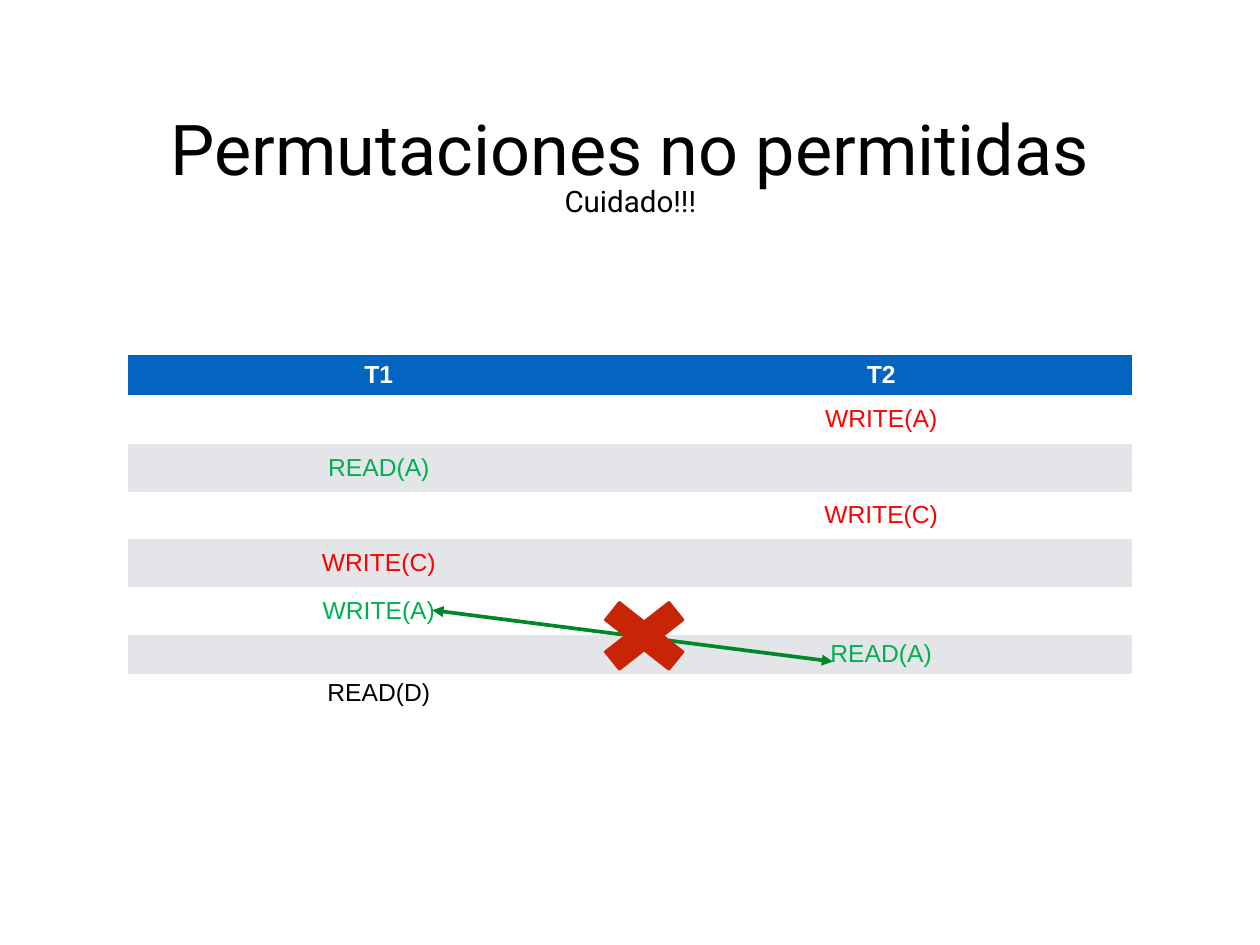
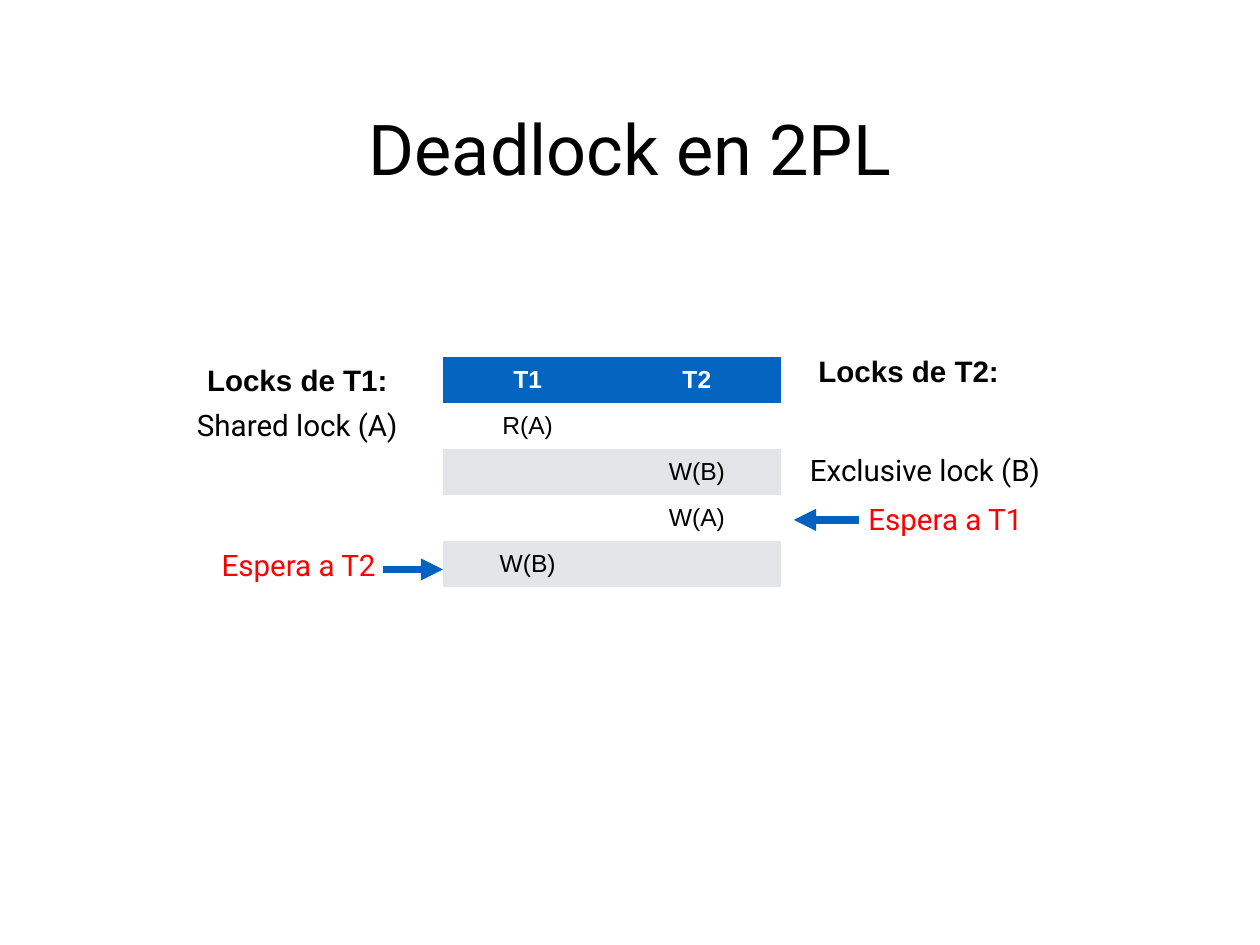
from pptx import Presentation, util as u
from pptx.dml.color import RGBColor
from pptx.enum import shapes, text
from pptx.oxml import ns
from lxml import etree

PX = 9144  # 100 px to the inch
PAD = 6 * PX
HUES = {"head": "0365C0", "band": "E3E5E8", "white": "FFFFFF", "black": "000000",
        "red": "FF0000", "green": "00B050", "link": "008728", "cross": "C82506",
        "arrow": "0062BF"}
RGB = {key: RGBColor.from_string(hue) for key, hue in HUES.items()}
STYLES = {
    "title": {"size": u.Pt(57), "name": "Roboto", "bold": False},
    "label": {"size": u.Pt(24), "name": "Roboto", "bold": False},
    "lock": {"size": u.Pt(24), "name": "Arial", "bold": True},
    "head": {"size": u.Pt(20), "name": "Arial", "bold": True},
    "cell": {"size": u.Pt(20), "name": "Arial", "bold": False},
}
PLAIN = "{2D5ABB26-0587-4C30-8999-92F81FD0307C}"  # table style without borders


def write(frame, words, style, hue):
    """Put one centred line of text in a frame."""
    para = frame.paragraphs[0]
    para.alignment = text.PP_ALIGN.CENTER
    run = para.add_run()
    run.text = words
    run.font.color.rgb = RGB[hue]
    for key, value in STYLES[style].items():
        setattr(run.font, key, value)


deck = Presentation()
deck.slide_width, deck.slide_height = 1422 * PX, 1067 * PX

# Content of both slides
pages = [
    {
        "table": (144, 401, 567, [45, 55, 54, 54, 54, 54, 44, 44]),
        # column, words, colour of each row's entry
        "steps": [(1, "WRITE(A)", "red"), (0, "READ(A)", "green"),
                  (1, "WRITE(C)", "red"), (0, "WRITE(C)", "red"),
                  (0, "WRITE(A)", "green"), (1, "READ(A)", "green"),
                  (0, "READ(D)", "black")],
        "lines": [((488, 689, 940, 747), "link", 3, ["headEnd", "tailEnd"])],
        "cross": (727, 718),
        "texts": [((628, 202, 167, 50), "Cuidado!!!", "label", "black"),
                  ((181, 115, 1060, 103), "Permutaciones no permitidas", "title", "black")],
    },
    {
        "table": (500, 403, 191, [52] * 5),
        "steps": [(0, "R(A)", "black"), (1, "W(B)", "black"),
                  (1, "W(A)", "black"), (0, "W(B)", "black")],
        "lines": [((969, 587, 896, 587), "arrow", 6, ["tailEnd"]),
                  ((432, 643, 500, 643), "arrow", 6, ["tailEnd"])],
        "cross": None,
        "texts": [((206, 455, 259, 50), "Shared lock (A)", "label", "black"),
                  ((206, 404, 259, 49), "Locks de T1:", "lock", "black"),
                  ((896, 505, 296, 50), "Exclusive lock (B)", "label", "black"),
                  ((896, 394, 259, 49), "Locks de T2:", "lock", "black"),
                  ((957, 561, 220, 50), "Espera a T1", "label", "red"),
                  ((227, 613, 220, 50), "Espera a T2", "label", "red"),
                  ((397, 115, 628, 103), "Deadlock en 2PL", "title", "black")],
    },
]

for page in pages:
    slide = deck.slides.add_slide(deck.slide_layouts[6])
    items = slide.shapes

    # Schedule table
    left, top, wide, rows = page["table"]
    table = items.add_table(len(rows), 2, left * PX, top * PX,
                            2 * wide * PX, sum(rows) * PX).table
    table.first_row = table.horz_banding = False
    table._tbl.tblPr.find(ns.qn("a:tableStyleId")).text = PLAIN
    for col in table.columns:
        col.width = wide * PX
    for i, high in enumerate(rows):
        table.rows[i].height = high * PX
        fill = "head" if i == 0 else "white" if i % 2 else "band"
        for cell in table.rows[i].cells:
            cell.fill.solid()
            cell.fill.fore_color.rgb = RGB[fill]
            cell.vertical_anchor = text.MSO_ANCHOR.MIDDLE
            for side in ("left", "top", "right", "bottom"):
                setattr(cell, "margin_" + side, PAD)
    for i, name in enumerate(["T1", "T2"]):
        write(table.cell(0, i).text_frame, name, "head", "white")
    for i, (col, words, hue) in enumerate(page["steps"], 1):
        write(table.cell(i, col).text_frame, words, "cell", hue)

    # Arrows
    for ends, hue, width, tips in page["lines"]:
        line = items.add_connector(shapes.MSO_CONNECTOR.STRAIGHT, *[n * PX for n in ends])
        line.line.color.rgb = RGB[hue]
        line.line.width = u.Pt(width)
        for tip in tips:
            etree.SubElement(line.line._get_or_add_ln(), ns.qn("a:" + tip), type="triangle")
        etree.SubElement(line._element.spPr, ns.qn("a:effectLst"))

    # Cross: one half of the outline, then the same turned by 180 degrees
    if page["cross"]:
        x, y = page["cross"]
        half = [(-44, -18), (-28, -38), (0, -16), (28, -38), (44, -18), (21, 0)]
        spots = [(x + s * dx, y + s * dy) for s in (1, -1) for dx, dy in half]
        pen = items.build_freeform(*spots[0], scale=PX)
        pen.add_line_segments(spots[1:], close=True)
        cross = pen.convert_to_shape()
        cross.shadow.inherit = False
        cross.fill.solid()
        cross.fill.fore_color.rgb = cross.line.color.rgb = RGB["cross"]
        cross.line.width = u.Pt(2)

    # Title and labels
    for place, words, style, hue in page["texts"]:
        frame = items.add_textbox(*[n * PX for n in place]).text_frame
        frame.word_wrap = False
        frame.vertical_anchor = text.MSO_ANCHOR.MIDDLE
        for side in ("left", "top", "right", "bottom"):
            setattr(frame, "margin_" + side, PAD)
        write(frame, words, style, hue)

deck.save("out.pptx")
